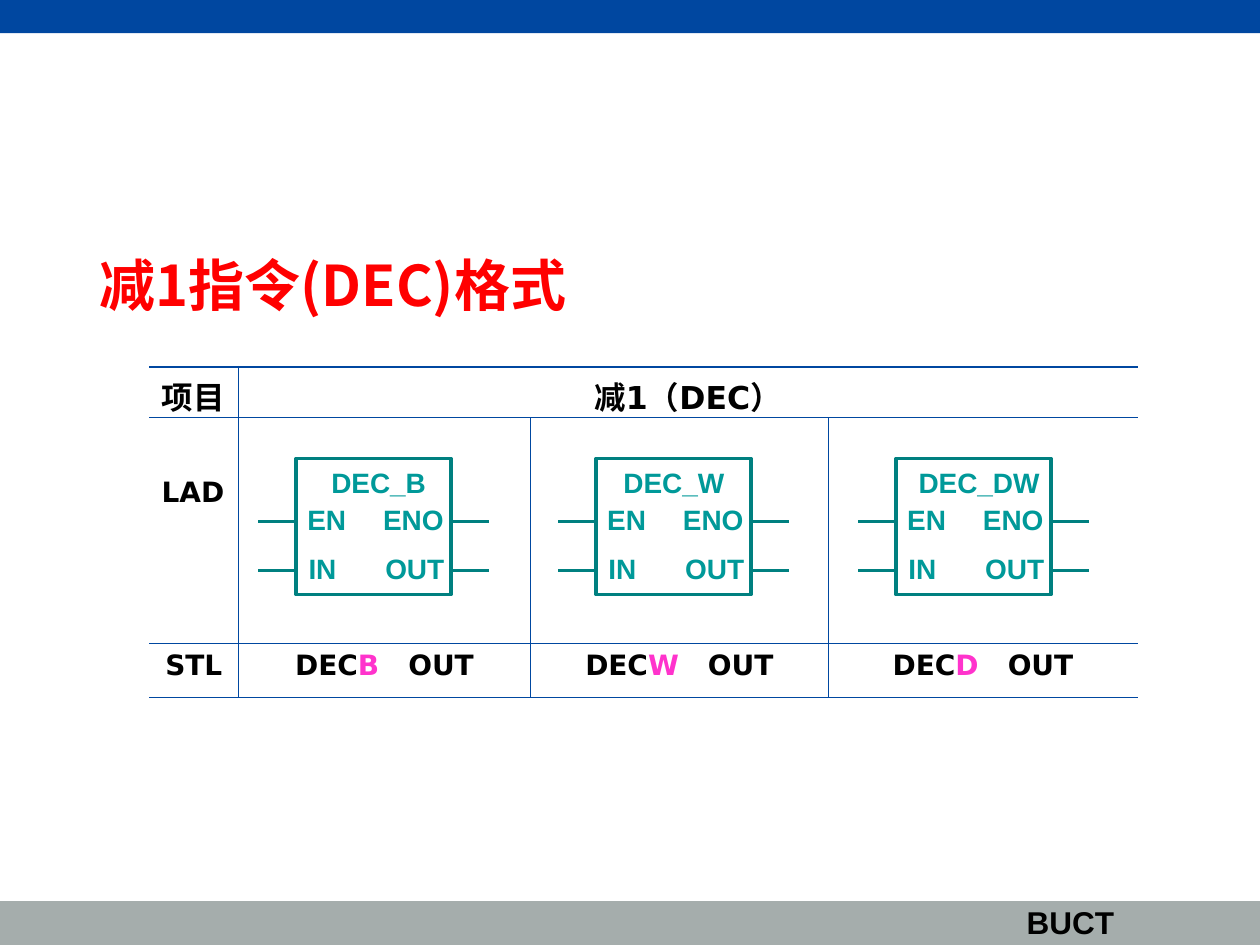
from lxml import etree
from pptx import Presentation
from pptx.dml.color import RGBColor
from pptx.enum.shapes import MSO_CONNECTOR, MSO_SHAPE
from pptx.enum.text import MSO_ANCHOR, MSO_AUTO_SIZE, PP_ALIGN
from pptx.oxml.ns import qn
from pptx.util import Pt

RECTANGLE, STRAIGHT = MSO_SHAPE.RECTANGLE, MSO_CONNECTOR.STRAIGHT
LEFT, CENTER, TOP = PP_ALIGN.LEFT, PP_ALIGN.CENTER, MSO_ANCHOR.TOP
GROW = MSO_AUTO_SIZE.SHAPE_TO_FIT_TEXT

BLUE = RGBColor(0x00, 0x47, 0xA0)
GRAY = RGBColor(0xA5, 0xAD, 0xAC)
BLACK = RGBColor(0x00, 0x00, 0x00)
RED = RGBColor(0xFF, 0x00, 0x00)
PINK = RGBColor(0xFF, 0x33, 0xCC)
TEAL = RGBColor(0x00, 0x80, 0x80)
LIGHT_TEAL = RGBColor(0x00, 0x99, 0x99)

TITLE_FONT = {"name": "Noto Sans CJK SC", "size": Pt(32), "bold": True, "color": RED}
HEAD_FONT = {"name": "DejaVu Sans", "size": Pt(18), "bold": True, "color": BLACK}
CELL_FONT = {**HEAD_FONT, "size": Pt(16)}
BLOCK_FONT = {"name": "Arial", "size": Pt(16), "bold": True, "color": LIGHT_TEAL}
SCHOOL_FONT = {**BLOCK_FONT, "size": Pt(18), "color": BLACK}

TITLE = "减1指令(DEC)格式"
SCHOOL = "BUCT"
BANDS = [(515, 26, GRAY), (0, 19, BLUE)]  # top, height, colour

TABLE_LEFT, TABLE_TOP = 85.2, 209.6
COLUMNS = [51, 167, 170, 177]
ROWS = [29, 129, 31]
ROW_MARGINS = [(10.8, 0), (34, 3.6), (3.6, 3.6)]  # top, bottom
HEADINGS = [("项目", LEFT, HEAD_FONT), ("LAD", LEFT, CELL_FONT), ("STL", CENTER, CELL_FONT)]
GROUP_HEADING = "减1（DEC）"
STL_SUFFIXES = ["B", "W", "D"]
THIN, THICK = 0.45, 1.08

# name, left within the block, width
BLOCKS = [("DEC_B", 13, 68.4), ("DEC_W", 8.6, 72), ("DEC_DW", 5.8, 83.5)]
BLOCK_LEFT, BLOCK_TOP, BLOCK_WIDTH, BLOCK_HEIGHT = 169.2, 262, 88.5, 77.8
BLOCK_PITCH = 171.4
LABEL_HEIGHT, LEAD_LENGTH = 26.6, 21.6
# text, left and top within the block, width
PINS = [("EN", -0.7, 21.6, 36.7), ("ENO", 42.6, 21.6, 49),
        ("IN", 0, 49.9, 30.2), ("OUT", 43.9, 49.9, 48.2)]
LEAD_HEIGHTS = [36, 64.1]


def add_span(para, text, style):
    span = para.add_run()
    span.text = text
    for name, value in style.items():
        if name == "color":
            span.font.color.rgb = value
        else:
            setattr(span.font, name, value)
    properties = span._r.get_or_add_rPr()
    etree.SubElement(properties, qn("a:ea")).set("typeface", style["name"])
    return span


def add_label(shapes, text, left, top, width, height, style):
    box = shapes.add_textbox(Pt(left), Pt(top), Pt(width), Pt(height))
    box.text_frame.word_wrap = False
    box.text_frame.auto_size = GROW
    add_span(box.text_frame.paragraphs[0], text, style)


def add_box(shapes, left, top, width, height):
    box = shapes.add_shape(RECTANGLE, Pt(left), Pt(top), Pt(width), Pt(height))
    box.shadow.inherit = False
    return box


def add_lead(shapes, start, end, y):
    """Draw a horizontal wire beside a block."""
    lead = shapes.add_connector(STRAIGHT, Pt(start), Pt(y), Pt(end), Pt(y))
    lead.line.color.rgb = TEAL
    lead.line.width = Pt(2)
    etree.SubElement(lead._element.spPr, qn("a:effectLst"))


def set_borders(cell, widths):
    """Set left, right, top and bottom border widths; 0 hides a border."""
    properties = cell._tc.get_or_add_tcPr()
    for place, (side, width) in enumerate(zip(("lnL", "lnR", "lnT", "lnB"), widths)):
        line = etree.Element(qn("a:" + side), w=str(int(Pt(width))))
        if width:
            fill = etree.SubElement(line, qn("a:solidFill"))
            etree.SubElement(fill, qn("a:srgbClr")).set("val", str(BLUE))
        else:
            etree.SubElement(line, qn("a:noFill"))
        properties.insert(place, line)


def add_instruction_table(page):
    frame = page.shapes.add_table(len(ROWS), len(COLUMNS), Pt(TABLE_LEFT), Pt(TABLE_TOP),
                                  Pt(sum(COLUMNS)), Pt(sum(ROWS)))
    table = frame.table
    table.first_row = table.horz_banding = False
    for column, width in zip(table.columns, COLUMNS):
        column.width = Pt(width)
    last_row, last_column = len(ROWS) - 1, len(COLUMNS) - 1
    for i, (height, (above, below)) in enumerate(zip(ROWS, ROW_MARGINS)):
        table.rows[i].height = Pt(height)
        last_divider = last_column if i else 1
        for j in range(len(COLUMNS)):
            cell = table.cell(i, j)
            cell.fill.background()
            cell.margin_top, cell.margin_bottom = Pt(above), Pt(below)
            cell.vertical_anchor = TOP
            set_borders(cell, (THIN if 0 < j <= last_divider else 0,
                               THIN if j < last_divider else 0,
                               THIN if i else THICK, THIN))
    table.cell(0, 1).merge(table.cell(0, last_column))

    for i, (text, align, style) in enumerate(HEADINGS):
        para = table.cell(i, 0).text_frame.paragraphs[0]
        para.alignment = align
        add_span(para, text, style)
    para = table.cell(0, 1).text_frame.paragraphs[0]
    para.alignment = CENTER
    add_span(para, GROUP_HEADING, HEAD_FONT)
    for j in (0, 1):
        table.cell(0, j).text_frame.paragraphs[0].line_spacing = Pt(18)
    for j, suffix in enumerate(STL_SUFFIXES, 1):
        para = table.cell(last_row, j).text_frame.paragraphs[0]
        para.alignment = CENTER
        add_span(para, "DEC", CELL_FONT)
        add_span(para, suffix, {**CELL_FONT, "color": PINK})
        gap = add_span(para, " ", CELL_FONT)
        gap._r.get_or_add_rPr().set("spc", "1110")
        add_span(para, "OUT", CELL_FONT)


def add_block(page, left, name, name_left, name_width):
    """Draw one ladder block with its pins and wires."""
    shapes = page.shapes.add_group_shape().shapes
    box = add_box(shapes, left, BLOCK_TOP, BLOCK_WIDTH, BLOCK_HEIGHT)
    box.fill.background()
    box.line.color.rgb = TEAL
    box.line.width = Pt(2)
    for text, x, y, width in PINS + [(name, name_left, 0.5, name_width)]:
        add_label(shapes, text, left + x, BLOCK_TOP + y, width, LABEL_HEIGHT, BLOCK_FONT)
    for start in (left - LEAD_LENGTH, left + BLOCK_WIDTH):
        for y in LEAD_HEIGHTS:
            add_lead(shapes, start, start + LEAD_LENGTH, BLOCK_TOP + y)


def main():
    deck = Presentation()
    deck.slide_width, deck.slide_height = Pt(720), Pt(540)
    page = deck.slides.add_slide(deck.slide_layouts[5])

    for top, height, color in BANDS:
        band = add_box(page.shapes, 0, top, 720, height)
        band.fill.solid()
        band.fill.fore_color.rgb = color
        band.line.fill.background()
    add_label(page.shapes, SCHOOL, 579.6, 512.4, 66, 29, SCHOOL_FONT)

    title = page.shapes.title
    title.left, title.top, title.width, title.height = Pt(30), Pt(139.7), Pt(320.4), Pt(84)
    title.text_frame.vertical_anchor = TOP
    para = title.text_frame.paragraphs[0]
    para.alignment = CENTER
    add_span(para, TITLE, TITLE_FONT)

    add_instruction_table(page)
    for i, block in enumerate(BLOCKS):
        add_block(page, BLOCK_LEFT + i * BLOCK_PITCH, *block)
    deck.save("out.pptx")


if __name__ == "__main__":
    main()
